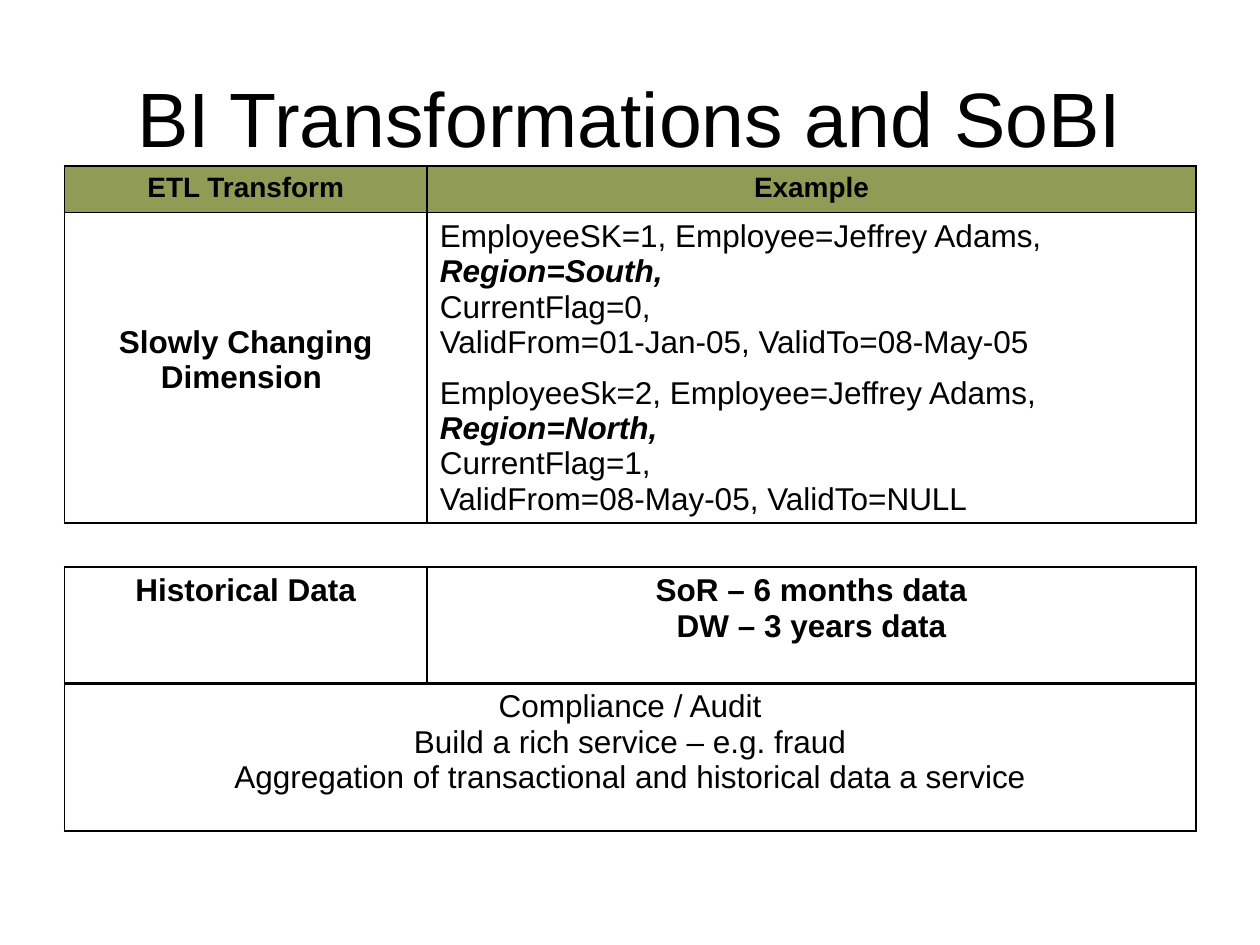
from lxml.etree import SubElement
from pptx import Presentation
from pptx.dml.color import RGBColor
from pptx.enum.text import MSO_ANCHOR, PP_ALIGN
from pptx.oxml.ns import qn
from pptx.util import Pt

TITLE = "BI Transformations and SoBI"
BLACK, GREEN = "000000", "909C56"
LEFT, COLS = 36.75, [207.4, 439.2]
BODY_TOP = 64


def cell(*lines, size=18, bold=False, align="c", fill=None, top=3.6):
    return dict(lines=lines, size=size, bold=bold, align=align, fill=fill, top=top)


TABLES = [
    dict(top=324, cols=COLS, heights=[67], rows=[[
        cell("Historical Data", bold=True),
        cell("SoR – 6 months data", "DW – 3 years data", bold=True),
    ]]),
    dict(top=390.25, cols=[sum(COLS)], heights=[84.75], rows=[[
        cell("Compliance / Audit", "Build a rich service – e.g. fraud",
             "Aggregation of transactional and historical data a service"),
    ]]),
    dict(top=94.9, cols=COLS, heights=[26.6, 177.4], rows=[
        [cell(text, size=16, bold=True, fill=GREEN) for text in ("ETL Transform", "Example")],
        [cell("Slowly Changing Dimension ", bold=True, top=BODY_TOP),
         cell("EmployeeSK=1, Employee=Jeffrey Adams,", "Region=South,", "CurrentFlag=0,",
              "ValidFrom=01-Jan-05, ValidTo=08-May-05",
              "EmployeeSk=2, Employee=Jeffrey Adams,", "Region=North,", "CurrentFlag=1,",
              "ValidFrom=08-May-05, ValidTo=NULL", align="l")],
    ]),
]
ALIGN = {"c": PP_ALIGN.CENTER, "l": PP_ALIGN.LEFT}


def rgb(color):
    return RGBColor.from_string(color)


def style(p, size, align, bold=False, italic=False):
    p.alignment = ALIGN[align]
    f = p.font
    f.name, f.size, f.bold, f.italic = "Arial", Pt(size), bold, italic
    f.color.rgb = rgb(BLACK)


def add_borders(c):
    props = c._tc.get_or_add_tcPr()
    for i, side in enumerate(("lnL", "lnR", "lnT", "lnB")):
        ln = props.makeelement(qn(f"a:{side}"), {"w": str(Pt(1))})
        SubElement(SubElement(ln, qn("a:solidFill")), qn("a:srgbClr"), val=BLACK)
        props.insert(i, ln)


def fill_cell(c, data):
    c.margin_top = Pt(data["top"])
    if data["fill"]:
        c.fill.solid()
        c.fill.fore_color.rgb = rgb(data["fill"])
    else:
        c.fill.background()
    add_borders(c)
    tf = c.text_frame
    for i, line in enumerate(data["lines"]):
        p = tf.paragraphs[0] if i == 0 else tf.add_paragraph()
        p.text = line
        region = line.startswith("Region")
        style(p, data["size"], data["align"], data["bold"] or region, region)
        if i and line.startswith("Employee"):
            p.space_before = Pt(9)


def add_table(s, data):
    rows, cols, heights = data["rows"], data["cols"], data["heights"]
    table = s.shapes.add_table(len(rows), len(cols), Pt(LEFT), Pt(data["top"]),
                               Pt(sum(cols)), Pt(sum(heights))).table
    table.first_row = table.horz_banding = False
    for column, width in zip(table.columns, cols):
        column.width = Pt(width)
    for r, (row, height) in enumerate(zip(rows, heights)):
        table.rows[r].height = Pt(height)
        for c, item in enumerate(row):
            fill_cell(table.cell(r, c), item)


def main():
    prs = Presentation()
    prs.slide_width, prs.slide_height = Pt(720), Pt(540)
    s = prs.slides.add_slide(prs.slide_layouts[5])
    title = s.shapes.title
    title.left, title.top, title.width, title.height = Pt(36), Pt(21.6), Pt(648), Pt(90)
    tf = title.text_frame
    tf.text = TITLE
    tf.vertical_anchor = MSO_ANCHOR.MIDDLE
    style(tf.paragraphs[0], 44, "c")
    for data in TABLES:
        add_table(s, data)
    prs.save("out.pptx")


if __name__ == "__main__":
    main()
